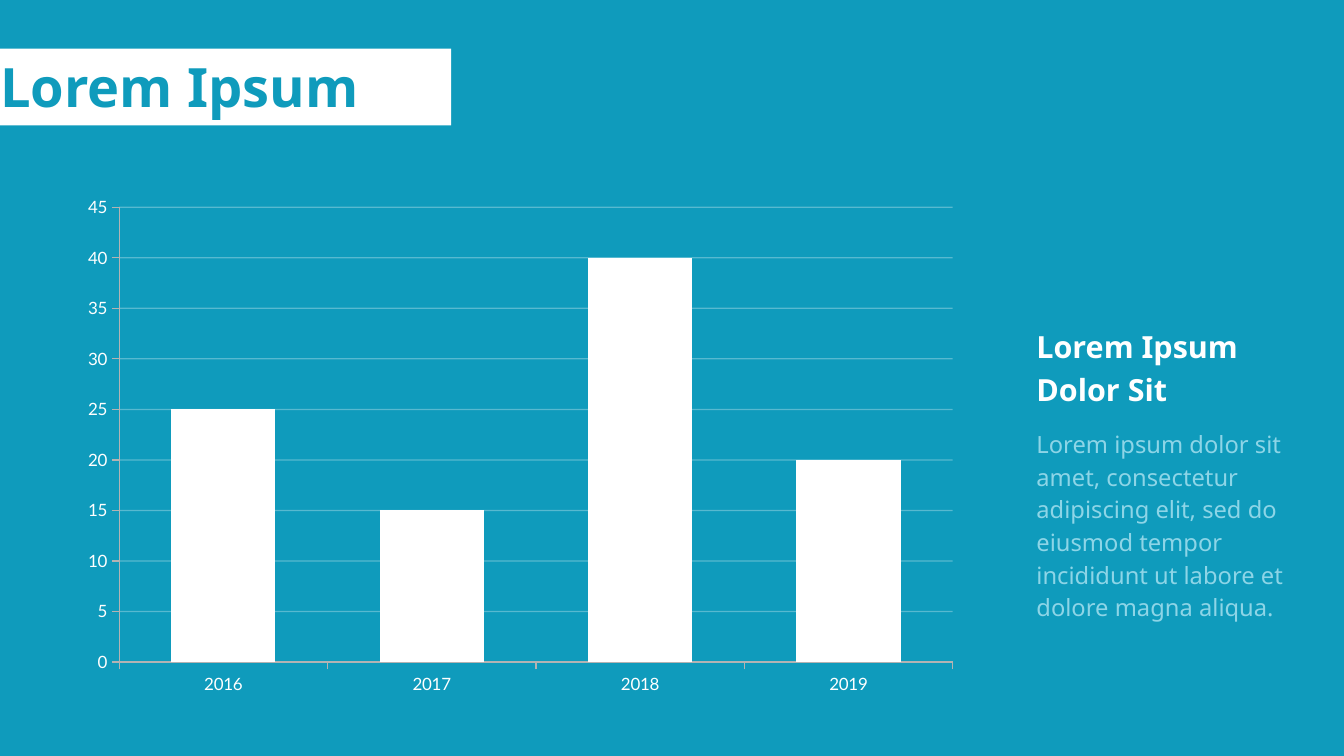
from dataclasses import dataclass

from lxml import etree
from pptx import Presentation
from pptx.chart.data import CategoryChartData
from pptx.dml.color import RGBColor
from pptx.enum.chart import XL_CHART_TYPE, XL_TICK_MARK
from pptx.enum.shapes import MSO_SHAPE
from pptx.enum.text import MSO_ANCHOR, MSO_AUTO_SIZE, PP_ALIGN
from pptx.oxml import parse_xml
from pptx.oxml.ns import nsdecls, qn
from pptx.util import Inches, Pt

COLUMN = XL_CHART_TYPE.COLUMN_CLUSTERED
OUTSIDE = XL_TICK_MARK.OUTSIDE
RECT = MSO_SHAPE.RECTANGLE
MIDDLE = MSO_ANCHOR.MIDDLE
NO_FIT = MSO_AUTO_SIZE.NONE
LEFT = PP_ALIGN.LEFT


@dataclass(frozen=True)
class Theme:
    blue: RGBColor = RGBColor(0x0F, 0x9B, 0xBC)
    white: RGBColor = RGBColor(0xFF, 0xFF, 0xFF)
    pale: RGBColor = RGBColor(0x8D, 0xD5, 0xE7)
    gray: RGBColor = RGBColor(0xB3, 0xB3, 0xB3)
    font: str = "Noto Sans"
    chart_font: str = "Lato"
    title: int = 32
    head: int = 18
    body: int = 14
    label: int = 10


THEME = Theme()


def place(shape, box):
    shape.left, shape.top, shape.width, shape.height = map(Inches, box)


def style(font, name, size, color, bold=False):
    font.name = name
    font.size = Pt(size)
    font.bold = bold
    font.color.rgb = color


def add_run(para, text, size, color, bold=False):
    run = para.add_run()
    run.text = text
    style(run.font, THEME.font, size, color, bold)


def add_title(slide, box, text):
    left, top, width, height = box
    band = slide.shapes.add_shape(RECT, *map(Inches, box))
    band.shadow.inherit = False
    band.fill.solid()
    band.fill.fore_color.rgb = THEME.white
    band.line.fill.background()
    title = slide.shapes.title
    place(title, (left, top - 0.06, width - 0.08, height + 0.1))
    frame = title.text_frame
    frame.margin_left = frame.margin_right = 0
    frame.margin_top = frame.margin_bottom = 0
    frame.vertical_anchor = MIDDLE
    frame.auto_size = NO_FIT
    para = frame.paragraphs[0]
    para.alignment = LEFT
    add_run(para, text, THEME.title, THEME.blue, True)


def add_text(slide, box, text, size, color, bold=False):
    frame = slide.shapes.add_textbox(*map(Inches, box)).text_frame
    frame.word_wrap = True
    para = frame.paragraphs[0]
    para.line_spacing = 1.15
    add_run(para, text, size, color, bold)


def add_side(slide, box, head, body):
    left, top, width, height = box
    gap = 0.84
    add_text(slide, (left, top, 2.1, 0.88), head, THEME.head, THEME.white, True)
    add_text(slide, (left, top + gap, width, height - gap), body,
             THEME.body, THEME.pale)


def set_plot(chart, area):
    plot = chart.element.xpath(".//c:plotArea")[0]
    for old in plot.findall(qn("c:layout")):
        plot.remove(old)
    layout = parse_xml(f"<c:layout {nsdecls('c')}><c:manualLayout/></c:layout>")
    parts = [("layoutTarget", "inner"), ("xMode", "edge"), ("yMode", "edge")]
    parts += zip("xywh", area)
    for tag, value in parts:
        etree.SubElement(layout[0], qn(f"c:{tag}")).set("val", str(value))
    plot.insert(0, layout)


def add_chart(slide, box, years, values):
    data = CategoryChartData()
    data.categories = years
    data.add_series("Series 1", values)
    chart = slide.shapes.add_chart(COLUMN, *map(Inches, box), data).chart
    chart.has_legend = False
    chart.has_title = False
    style(chart.font, THEME.chart_font, THEME.label, THEME.white)
    plot = chart.plots[0]
    plot.gap_width = 100
    plot.vary_by_categories = False
    fill = plot.series[0].format.fill
    fill.solid()
    fill.fore_color.rgb = THEME.white
    for axis in (chart.category_axis, chart.value_axis):
        axis.major_tick_mark = OUTSIDE
        axis.format.line.color.rgb = THEME.gray
        axis.format.line.width = Pt(0)
        style(axis.tick_labels.font, THEME.chart_font, THEME.label, THEME.white)
    scale = chart.value_axis
    scale.minimum_scale, scale.maximum_scale, scale.major_unit = 0, 45, 5
    scale.has_major_gridlines = True
    grid = scale.major_gridlines.format.line
    grid.color.rgb = THEME.white
    grid.width = Pt(0)
    tint = chart.element.xpath(".//c:majorGridlines//a:srgbClr")[0]
    etree.SubElement(tint, qn("a:alpha")).set("val", "30000")
    set_plot(chart, (0.05, 0.04, 0.93, 0.88))


def build_slide(deck):
    slide = deck.slides.add_slide(deck.slide_layouts[5])
    back = slide.background.fill
    back.solid()
    back.fore_color.rgb = THEME.blue
    add_title(slide, (0, 0.4, 3.7, 0.63), "Lorem Ipsum")
    add_side(slide, (8.4, 2.6, 2.23, 3), "Lorem Ipsum Dolor Sit",
             "Lorem ipsum dolor sit amet, consectetur adipiscing elit, "
             "sed do eiusmod tempor incididunt ut labore et dolore magna aliqua.")
    add_chart(slide, (0.61, 1.53, 7.35, 4.24),
              ("2016", "2017", "2018", "2019"), (25, 15, 40, 20))
    tree = slide.shapes.title.element.getparent()
    tree.append(slide.shapes.title.element)


def main():
    deck = Presentation()
    deck.slide_width = Inches(11.02)
    deck.slide_height = Inches(6.2)
    build_slide(deck)
    deck.save("out.pptx")


if __name__ == "__main__":
    main()
